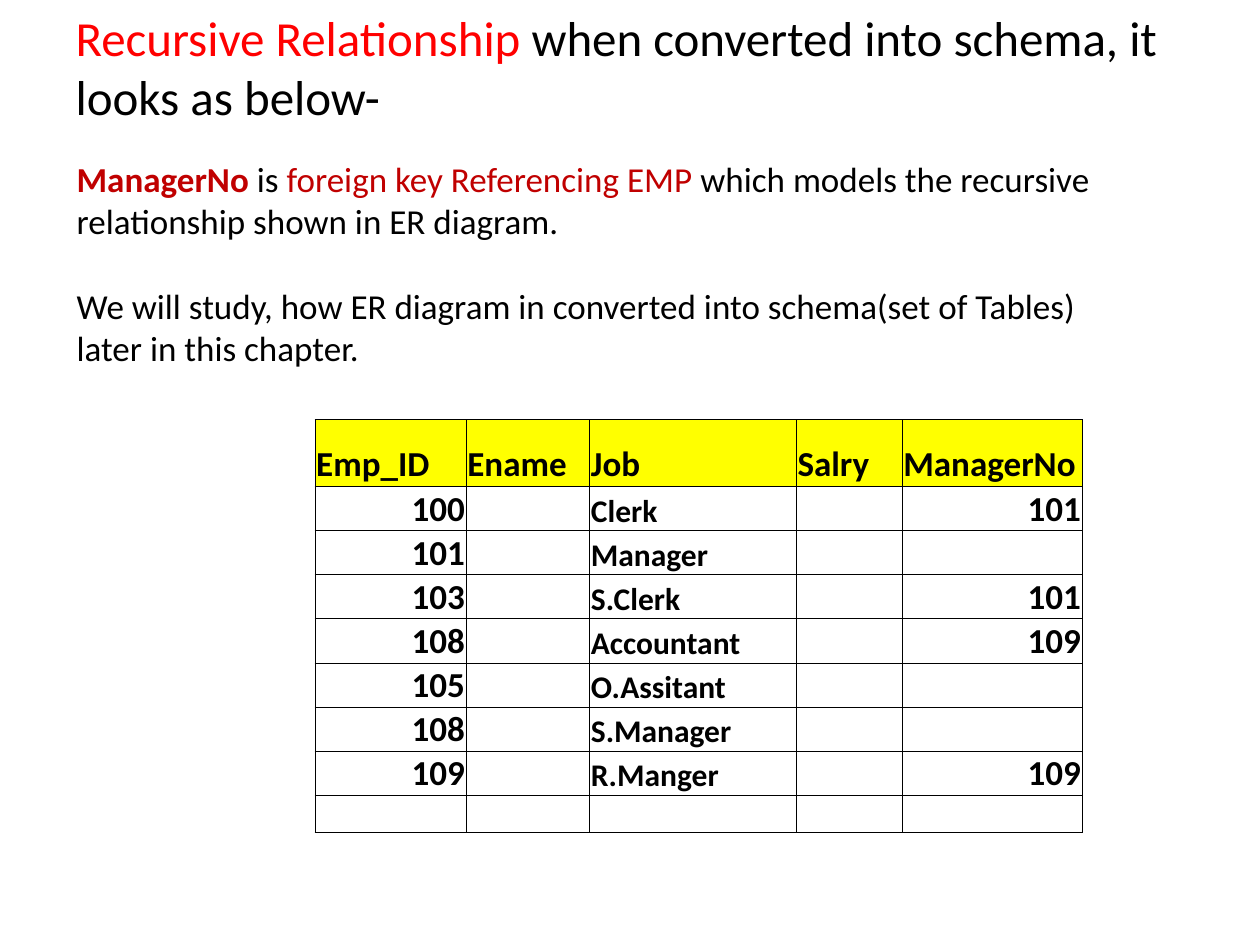
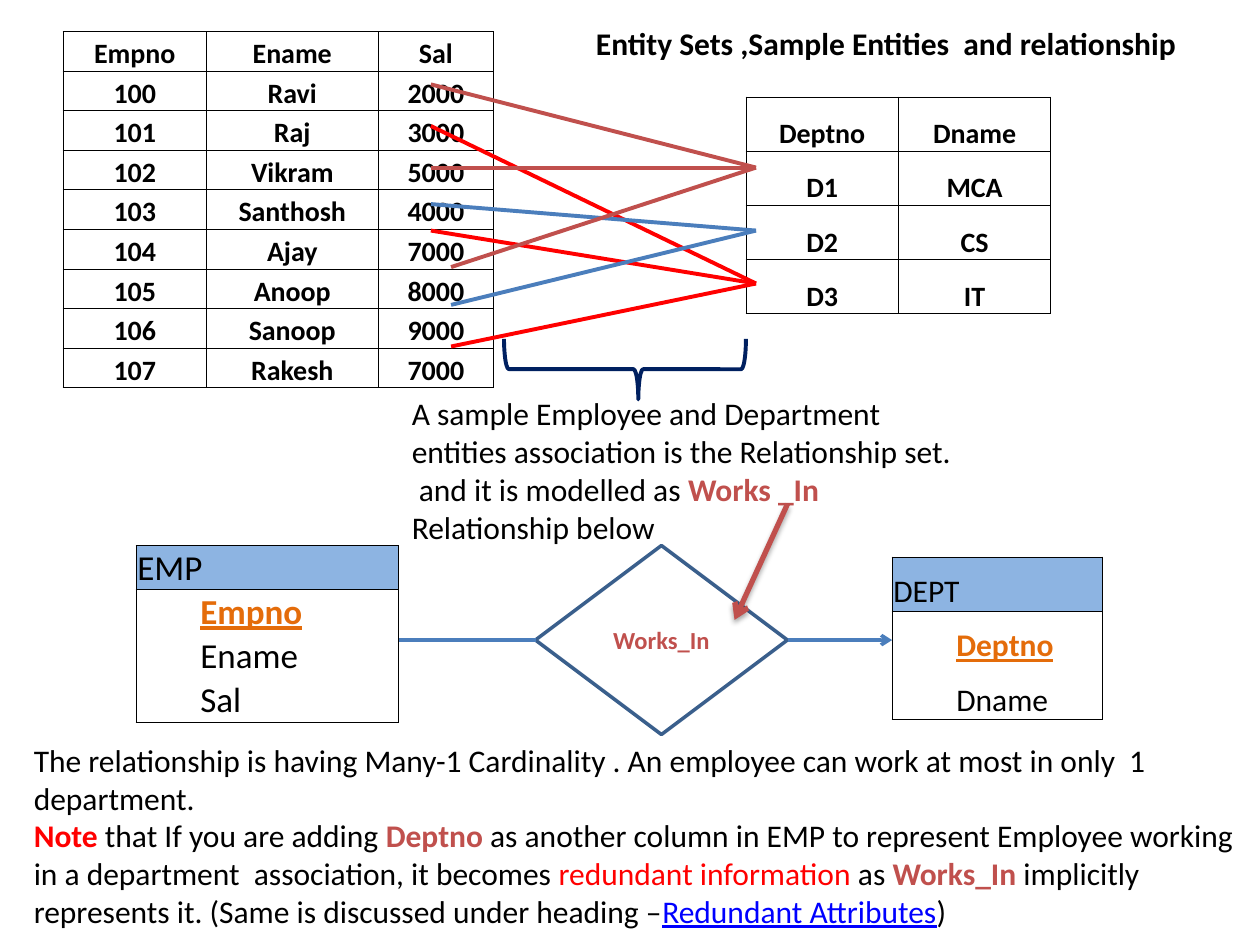
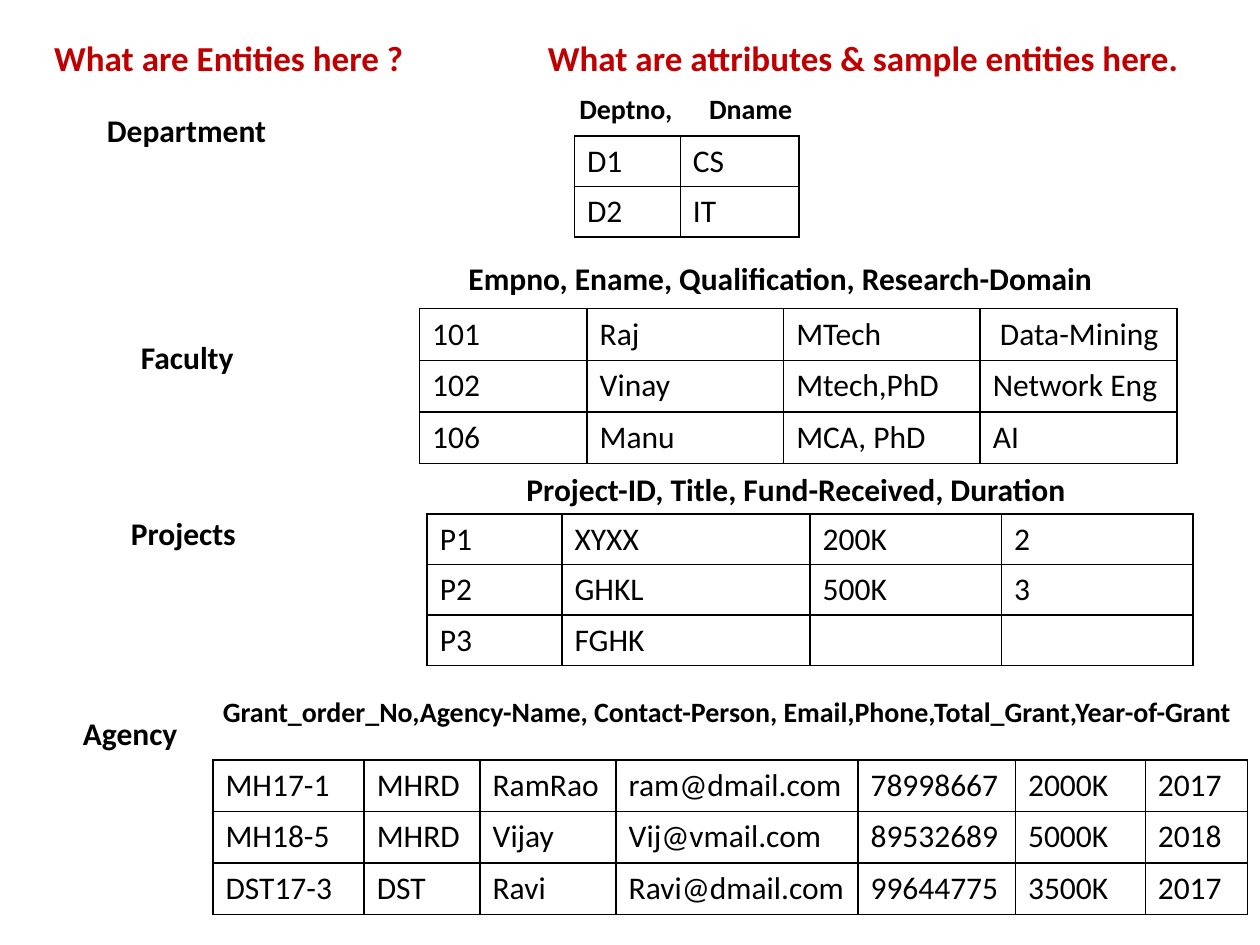
from collections import namedtuple

from pptx import Presentation
from pptx.dml.color import RGBColor
from pptx.enum.shapes import MSO_CONNECTOR, MSO_SHAPE
from pptx.enum.text import MSO_ANCHOR, MSO_AUTO_SIZE, PP_ALIGN
from pptx.oxml.ns import qn
from pptx.util import Inches, Pt
from lxml import etree

BLACK = RGBColor(0x00, 0x00, 0x00)
WHITE = RGBColor(0xFF, 0xFF, 0xFF)
RED = RGBColor(0xFF, 0x00, 0x00)
DARK_RED = RGBColor(0xC0, 0x00, 0x00)
BRICK = RGBColor(0xC0, 0x50, 0x4D)
BLUE = RGBColor(0x4B, 0x7E, 0xBC)
DIAMOND_BLUE = RGBColor(0x3A, 0x5F, 0x8C)
NAVY = RGBColor(0x00, 0x20, 0x60)
LINK_BLUE = RGBColor(0x00, 0x00, 0xFF)
HEADER_BLUE = RGBColor(0x8D, 0xB4, 0xE2)
YELLOW = RGBColor(0xFF, 0xFF, 0x00)
ORANGE = RGBColor(0xE4, 0x6C, 0x0A)
FONT = "Calibri"
TITLE_ONLY = 5
STRAIGHT = MSO_CONNECTOR.STRAIGHT
DIAMOND = MSO_SHAPE.DIAMOND
RIGHT_BRACE = MSO_SHAPE.RIGHT_BRACE
TOP, MIDDLE, BOTTOM = MSO_ANCHOR.TOP, MSO_ANCHOR.MIDDLE, MSO_ANCHOR.BOTTOM
LEFT, CENTER, RIGHT = PP_ALIGN.LEFT, PP_ALIGN.CENTER, PP_ALIGN.RIGHT
NO_FIT, GROW = MSO_AUTO_SIZE.NONE, MSO_AUTO_SIZE.SHAPE_TO_FIT_TEXT

Span = namedtuple("Span", "text color bold underline", defaults=(BLACK, False, False))


def style_font(font, size, color=BLACK, bold=False, underline=False):
    font.name = FONT
    font.size = Pt(size)
    font.color.rgb = color
    font.bold = bold
    font.underline = underline


def fill_frame(frame, paragraphs, size, align=LEFT, gap=0):
    for index, spans in enumerate(paragraphs):
        para = frame.add_paragraph() if index else frame.paragraphs[0]
        para.alignment = align
        if index and gap:
            para.space_before = Pt(gap)
        for span in spans:
            run = para.add_run()
            run.text = span.text
            style_font(run.font, size, span.color, span.bold, span.underline)


def add_text(page, place, paragraphs, size, wrap=True, gap=0):
    box = page.shapes.add_textbox(*map(Inches, place))
    box.text_frame.word_wrap = wrap
    box.text_frame.auto_size = GROW
    fill_frame(box.text_frame, paragraphs, size, gap=gap)
    return box


def add_titled_page(deck, place, spans, size, anchor=TOP, wrap=True):
    page = deck.slides.add_slide(deck.slide_layouts[TITLE_ONLY])
    title = page.shapes.title
    title.left, title.top, title.width, title.height = map(Inches, place)
    frame = title.text_frame
    frame.auto_size = NO_FIT
    frame.word_wrap = wrap
    frame.vertical_anchor = anchor
    fill_frame(frame, [spans], size)
    return page


def set_borders(cell, weight, sides):
    properties = cell._tc.get_or_add_tcPr()
    for position, side in enumerate("LRTB"):
        line = etree.Element(qn(f"a:ln{side}"), w=str(Pt(weight)))
        if side in sides:
            fill = etree.SubElement(line, qn("a:solidFill"))
            etree.SubElement(fill, qn("a:srgbClr"), val=str(BLACK))
        else:
            etree.SubElement(line, qn("a:noFill"))
        properties.insert(position, line)


def border_sides(row, last, open_rows):
    sides = "LR"
    if not open_rows or row <= 1:
        sides += "T"
    if not open_rows or row in (0, last):
        sides += "B"
    return sides


def add_grid(page, left, top, widths, heights, rows, size, weight=0.5,
             bold=False, align=LEFT, tight=True, open_rows=False):
    place = map(Inches, (left, top, sum(widths), sum(heights)))
    table = page.shapes.add_table(len(rows), len(widths), *place).table
    table.first_row = table.horz_banding = False
    for column, width in zip(table.columns, widths):
        column.width = Inches(width)
    for row, height in zip(table.rows, heights):
        row.height = Inches(height)
    for y, values in enumerate(rows):
        for x, value in enumerate(values):
            cell = table.cell(y, x)
            cell.fill.background()
            if tight:
                cell.vertical_anchor = BOTTOM
                cell.margin_left = cell.margin_right = cell.margin_top = Inches(0.01)
                cell.margin_bottom = 0
            if value:
                fill_frame(cell.text_frame, [[Span(value, bold=bold)]], size, align)
            else:
                etree.SubElement(cell.text_frame.paragraphs[0]._p, qn("a:endParaRPr"), sz="1200")
            set_borders(cell, weight, border_sides(y, len(rows) - 1, open_rows))
    return table


def paint_cell(cell, color):
    cell.fill.solid()
    cell.fill.fore_color.rgb = color


def add_entity(page, left, top, width, row_height, names, size):
    table = add_grid(page, left, top, [width], [row_height] * len(names),
                     [[name] for name in names], size, open_rows=True)
    paint_cell(table.cell(0, 0), HEADER_BLUE)
    for row in range(1, len(names)):
        para = table.cell(row, 0).text_frame.paragraphs[0]
        para.level = 1
        properties = para._p.get_or_add_pPr()
        properties.set("marL", str(Inches(0.5)))
        properties.set("indent", "0")
    key = table.cell(1, 0).text_frame.paragraphs[0].runs[0]
    style_font(key.font, size, ORANGE, True, True)


def add_line(page, start, end, color, weight, arrow=False, shadow=False):
    line = page.shapes.add_connector(STRAIGHT, *map(Inches, start + end))
    line.line.color.rgb = color
    line.line.width = Pt(weight)
    if arrow:
        etree.SubElement(line.line._get_or_add_ln(), qn("a:tailEnd"), type="arrow")
    effects = etree.SubElement(line._element.spPr, qn("a:effectLst"))
    if shadow:
        outer = etree.SubElement(effects, qn("a:outerShdw"), blurRad=str(Pt(3.1)),
                                 dist=str(Pt(1.8)), dir="5400000", rotWithShape="0")
        color_node = etree.SubElement(outer, qn("a:srgbClr"), val=str(BLACK))
        etree.SubElement(color_node, qn("a:alpha"), val="35000")


def add_outline(page, kind, place, color, weight):
    shape = page.shapes.add_shape(kind, *map(Inches, place))
    shape.shadow.inherit = False
    shape.fill.background()
    shape.line.color.rgb = color
    shape.line.width = Pt(weight)
    return shape


def build_recursive_page(deck):
    page = add_titled_page(deck, (0.5, 0.03, 9, 1), [
        Span("Recursive Relationship ", RED),
        Span("when converted into schema, it looks as below-"),
    ], 28, anchor=MIDDLE)
    rows = [
        ["Emp_ID", "Ename", "Job", "Salry", "ManagerNo"],
        ["100", "", "Clerk", "", "101"],
        ["101", "", "Manager", "", ""],
        ["103", "", "S.Clerk", "", "101"],
        ["108", "", "Accountant", "", "109"],
        ["105", "", "O.Assitant", "", ""],
        ["108", "", "S.Manager", "", ""],
        ["109", "", "R.Manger", "", "109"],
        [""] * 5,
    ]
    table = add_grid(page, 2.5, 3.33, [1.2, 0.98, 1.64, 0.84, 1.43],
                     [0.53] + [0.35] * 7 + [0.29], rows, 20, bold=True)
    for column in range(5):
        paint_cell(table.cell(0, column), YELLOW)
    for row in range(1, 8):
        for column in (0, 4):
            table.cell(row, column).text_frame.paragraphs[0].alignment = RIGHT
        table.cell(row, 2).text_frame.paragraphs[0].runs[0].font.size = Pt(18)
    add_text(page, (0.51, 1.2, 8.67, 1.78), [
        [Span("ManagerNo", DARK_RED, True), Span(" is "),
         Span("foreign key Referencing EMP ", DARK_RED),
         Span("which models the recursive relationship shown in ER diagram.")],
        [Span("We will study, how ER diagram in converted into schema(set of Tables) "
              "later in this chapter.")],
    ], 20, gap=24.4)


def build_relationship_page(deck):
    page = add_titled_page(deck, (4.63, 0.14, 4.91, 0.4), [
        Span("Entity Sets ,Sample Entities  and relationship", bold=True)], 18, wrap=False)
    employees = [
        ["Empno", "Ename", "Sal"],
        ["100", "Ravi", "2000"],
        ["101", "Raj", "3000"],
        ["102", "Vikram", "5000"],
        ["103", "Santhosh", "4000"],
        ["104", "Ajay", "7000"],
        ["105", "Anoop", "8000"],
        ["106", "Sanoop", "9000"],
        ["107", "Rakesh", "7000"],
    ]
    departments = [["Deptno", "Dname"], ["D1", "MCA"], ["D2", "CS"], ["D3", "IT"]]
    add_grid(page, 0.5, 0.25, [1.14, 1.36, 0.92], [2.83 / 9] * 9, employees, 16,
             bold=True, align=CENTER)
    add_grid(page, 5.92, 0.77, [1.21, 1.21], [0.43] * 4, departments, 16,
             bold=True, align=CENTER)
    add_entity(page, 1.08, 4.33, 2.08, 0.35, ["EMP", "Empno", "Ename", "Sal"], 20)
    add_entity(page, 7.08, 4.42, 1.67, 0.43, ["DEPT", "Deptno", "Dname"], 18)

    targets = {"D1": (1.33, BRICK), "D2": (1.83, BLUE), "D3": (2.25, RED)}
    links = [(3.42, 0.67, "D1"), (3.42, 1, "D3"), (3.42, 1.33, "D1"), (3.42, 1.62, "D2"),
             (3.42, 1.83, "D3"), (3.58, 2.12, "D1"), (3.58, 2.42, "D2"), (3.58, 2.75, "D3")]
    for x, y, department in links:
        target_y, color = targets[department]
        add_line(page, (x, y), (6, target_y), color, 2.25)

    diamond = add_outline(page, DIAMOND, (4.25, 4.33, 2, 1.5), DIAMOND_BLUE, 2)
    diamond.fill.solid()
    diamond.fill.fore_color.rgb = WHITE
    diamond.text_frame.vertical_anchor = MIDDLE
    fill_frame(diamond.text_frame, [[Span("Works_In", BRICK, True)]], 14, CENTER)
    add_line(page, (4.25, 5.08), (3.17, 5.08), BLUE, 2)
    add_line(page, (6.25, 5.08), (7.08, 5.08), BLUE, 2, arrow=True)
    brace = add_outline(page, RIGHT_BRACE, (4.72, 1.97, 0.48, 1.92), NAVY, 2.25)
    brace.rotation = 90
    brace.adjustments[0] = 0.08
    brace.adjustments[1] = 0.445
    add_text(page, (3.17, 3.08, 4.5, 1.31), [
        [Span("A sample Employee and Department entities association is the Relationship set.")],
        [Span(" and it is modelled as "), Span("Works _In ", BRICK, True),
         Span("Relationship below")],
    ], 18)
    add_line(page, (6.25, 4), (5.83, 4.92), BRICK, 3, arrow=True, shadow=True)
    add_text(page, (0.17, 5.83, 9.83, 1.62), [
        [Span("The relationship is having Many-1 Cardinality . An employee can work "
              "at most in only  1 department.")],
        [Span("Note", RED, True), Span(" that If you are adding "),
         Span("Deptno", BRICK, True),
         Span(" as another column in EMP to represent Employee working in a department"
              "  association, it becomes "),
         Span("redundant information ", RED), Span("as "), Span("Works_In ", BRICK, True),
         Span("implicitly represents it. (Same is discussed under heading –"),
         Span("Redundant Attributes", LINK_BLUE, underline=True), Span(")")],
    ], 18)


def build_entities_page(deck):
    page = add_titled_page(deck, (0.33, 0.24, 3.5, 0.44), [
        Span("What are Entities here ?", DARK_RED, True)], 20)
    add_text(page, (4.25, 0.24, 5.28, 0.44), [
        [Span("What are attributes & sample entities here.", DARK_RED, True)]], 20)

    entity_names = [
        ("Department", 0.75, 0.83, 1.48),
        ("Faculty", 1.02, 2.63, 0.94),
        ("Projects", 0.94, 4.03, 1.04),
        ("Agency", 0.56, 5.62, 0.96),
    ]
    for name, left, top, width in entity_names:
        add_text(page, (left, top, width, 0.4), [[Span(name, bold=True)]], 18, wrap=False)

    department = add_text(page, (4.5, 0.68, 2.17, 0.37),
                          [[Span("Deptno,\tDname", bold=True)]], 16)
    properties = department.text_frame.paragraphs[0]._p.get_or_add_pPr()
    tabs = etree.SubElement(properties, qn("a:tabLst"))
    etree.SubElement(tabs, qn("a:tab"), pos=str(Inches(1.03)), algn="l")

    attribute_lists = [
        ("Empno, Ename, Qualification, Research-Domain", 3.62, 2.01, 5.44, 18),
        ("Project-ID, Title, Fund-Received, Duration", 4.08, 3.68, 4.52, 18),
        ("Grant_order_No,Agency-Name, Contact-Person, Email,Phone,Total_Grant,Year-of-Grant",
         1.67, 5.46, 8.33, 16),
    ]
    for names, left, top, width, size in attribute_lists:
        add_text(page, (left, top, width, 0.4), [[Span(names, bold=True)]], size)

    samples = [
        (4.56, 1.08, [0.84, 0.94], 0.4, [["D1", "CS"], ["D2", "IT"]]),
        (3.33, 2.45, [1.33, 1.56, 1.56, 1.56], 0.41, [
            ["101", "Raj", "MTech", " Data-Mining"],
            ["102", "Vinay", "Mtech,PhD", "Network Eng"],
            ["106", "Manu", "MCA, PhD", "AI"]]),
        (3.39, 4.08, [1.07, 1.97, 1.52, 1.52], 0.4, [
            ["P1", "XYXX", "200K", "2"],
            ["P2", "GHKL", "500K", "3"],
            ["P3", "FGHK", "", ""]]),
        (1.69, 6.03, [1.2, 0.92, 1.08, 1.92, 1.25, 1.03, 0.81], 0.41, [
            ["MH17-1", "MHRD", "RamRao", "ram@dmail.com", "78998667", "2000K", "2017"],
            ["MH18-5", "MHRD", "Vijay", "Vij@vmail.com", "89532689", "5000K", "2018"],
            ["DST17-3", "DST", "Ravi", "Ravi@dmail.com", "99644775", "3500K", "2017"]]),
    ]
    for left, top, widths, row_height, rows in samples:
        add_grid(page, left, top, widths, [row_height] * len(rows), rows, 18,
                 weight=1, tight=False)


def main():
    deck = Presentation()
    deck.slide_width = Inches(10)
    deck.slide_height = Inches(7.5)
    build_recursive_page(deck)
    build_relationship_page(deck)
    build_entities_page(deck)
    deck.save("out.pptx")


if __name__ == "__main__":
    main()
